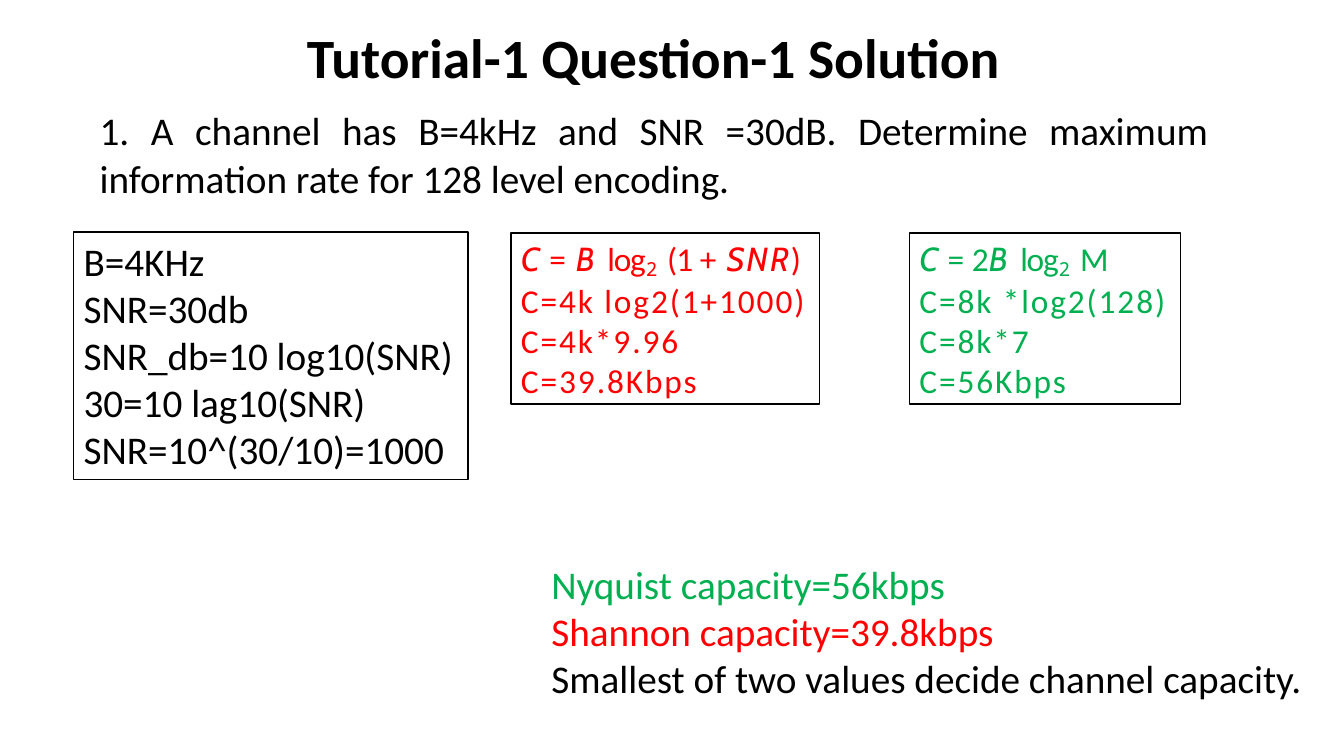
"""Build the solution slide for the channel capacity question."""
from dataclasses import dataclass

import pptx
import pptx.dml.color
import pptx.enum.shapes
import pptx.enum.text
import pptx.slide
import pptx.text.text
import pptx.util

BLACK = pptx.dml.color.RGBColor(0x00, 0x00, 0x00)
WHITE = pptx.dml.color.RGBColor(0xFF, 0xFF, 0xFF)
RED = pptx.dml.color.RGBColor(0xFF, 0x00, 0x00)
GREEN = pptx.dml.color.RGBColor(0x00, 0xB0, 0x50)
SLIDE_WIDTH = pptx.util.Inches(13.33)
SLIDE_HEIGHT = pptx.util.Inches(7.5)
ALIGN = pptx.enum.text.PP_ALIGN
ANCHOR = pptx.enum.text.MSO_ANCHOR


@dataclass(frozen=True)
class Piece:
    """A stretch of text with its own letter spacing, in points."""

    text: str
    spacing: float = 0
    font: str = "Calibri"
    italic: bool = False
    baseline: int = 0


@dataclass(frozen=True)
class Line:
    """A paragraph of one colour."""

    pieces: tuple[Piece, ...]
    color: pptx.dml.color.RGBColor = BLACK


@dataclass(frozen=True)
class Block:
    """A text block placed in percent of the slide's width and height."""

    left: float
    top: float
    width: float
    height: float
    lines: tuple[Line, ...]
    size: float = 28
    bold: bool = False
    framed: bool = False
    align: ALIGN = ALIGN.LEFT
    anchor: ANCHOR = ANCHOR.TOP
    line_spacing: float = 1.0


def plain(text: str, color: pptx.dml.color.RGBColor = BLACK, spacing: float = 0) -> Line:
    """Return a line made of a single piece."""
    return Line((Piece(text, spacing),), color)


def variable(text: str, spacing: float) -> Piece:
    """Return an italic formula variable."""
    return Piece(text, spacing, "Cabin", True)


LOG_BASE_TWO = (Piece("log", -0.9), Piece("2 ", -1.3, "Noto Sans Mono", baseline=-17000))
SHANNON_FORMULA = (
    variable("C ", 0.7), Piece("= ", 0.9), variable("B ", 1.9), *LOG_BASE_TWO,
    Piece("(1 ", -0.6), Piece("+ ", 0.9), variable("SNR", 1.4), Piece(")", 1.4),
)
NYQUIST_FORMULA = (
    variable("C ", 0.7), Piece("=", 0.9), Piece(" 2", -0.8), variable("B ", 1.9),
    *LOG_BASE_TWO, Piece("M", -0.6),
)


def working(formula: tuple[Piece, ...], steps: tuple[str, ...],
            color: pptx.dml.color.RGBColor) -> tuple[Line, ...]:
    """Return a formula followed by its calculation steps."""
    return (Line(formula, color), *(plain(step, color, 1.4) for step in steps))


BLOCKS = (
    Block(5.48, 5.2, 86.27, 5.6, (plain("Tutorial-1 Question-1 Solution"),), 39.6,
          bold=True, align=ALIGN.CENTER, anchor=ANCHOR.MIDDLE, line_spacing=0.9),
    Block(6.68, 13.47, 83.95, 13.87, (plain(
        "1. A channel has B=4kHz and SNR =30dB. Determine maximum "
        "information rate for 128 level encoding."),), align=ALIGN.JUSTIFY),
    Block(40.29, 73.47, 67.67, 20.13, (
        plain("Nyquist capacity=56kbps", GREEN),
        plain("Shannon capacity=39.8kbps", RED),
        plain("Smallest of two values decide channel capacity."))),
    Block(5.48, 30.67, 29.33, 32.8, tuple(map(plain, (
        "B=4KHz", "SNR=30db", "SNR_db=10 log10(SNR)",
        "30=10 lag10(SNR)", "SNR=10^(30/10)=1000"))), framed=True),
    Block(38.03, 30.8, 22.96, 22.67, working(
        SHANNON_FORMULA, ("C=4k log2(1+1000)", "C=4k*9.96", "C=39.8Kbps"), RED),
        23.8, framed=True),
    Block(67.67, 30.8, 20.18, 22.67, working(
        NYQUIST_FORMULA, ("C=8k *log2(128)", "C=8k*7", "C=56Kbps"), GREEN),
        23.8, framed=True),
)


def write_line(paragraph: pptx.text.text._Paragraph, line: Line, block: Block) -> None:
    """Fill a paragraph with the pieces of a line."""
    paragraph.alignment = block.align
    paragraph.line_spacing = block.line_spacing
    paragraph.font.name = "Calibri"
    paragraph.font.size = pptx.util.Pt(block.size)
    paragraph.font.bold = block.bold
    paragraph.font.color.rgb = line.color
    for piece in line.pieces:
        run = paragraph.add_run()
        run.text = piece.text
        if piece.font != "Calibri":
            run.font.name = piece.font
        if piece.italic:
            run.font.italic = True
        properties = run._r.get_or_add_rPr()
        if piece.spacing:
            properties.set("spc", str(round(piece.spacing * 100)))
        if piece.baseline:
            properties.set("baseline", str(piece.baseline))


def draw_block(slide: pptx.slide.Slide, block: Block) -> None:
    """Draw a text block, with a frame where it asks for one."""
    bounds = (
        round(SLIDE_WIDTH * block.left / 100), round(SLIDE_HEIGHT * block.top / 100),
        round(SLIDE_WIDTH * block.width / 100), round(SLIDE_HEIGHT * block.height / 100),
    )
    if block.framed:
        shape = slide.shapes.add_shape(pptx.enum.shapes.MSO_SHAPE.RECTANGLE, *bounds)
        shape.shadow.inherit = False
        shape.fill.solid()
        shape.fill.fore_color.rgb = WHITE
        shape.line.color.rgb = BLACK
        shape.line.width = pptx.util.Pt(1)
    else:
        shape = slide.shapes.add_textbox(*bounds)
    frame = shape.text_frame
    frame.word_wrap = not block.framed
    if block.framed:
        frame.auto_size = pptx.enum.text.MSO_AUTO_SIZE.SHAPE_TO_FIT_TEXT
    frame.vertical_anchor = block.anchor
    for index, line in enumerate(block.lines):
        paragraph = frame.add_paragraph() if index else frame.paragraphs[0]
        write_line(paragraph, line, block)


def main() -> None:
    """Build and save the presentation."""
    presentation = pptx.Presentation()
    presentation.slide_width = SLIDE_WIDTH
    presentation.slide_height = SLIDE_HEIGHT
    slide = presentation.slides.add_slide(presentation.slide_layouts[6])
    for block in BLOCKS:
        draw_block(slide, block)
    presentation.save("out.pptx")


if __name__ == "__main__":
    main()
